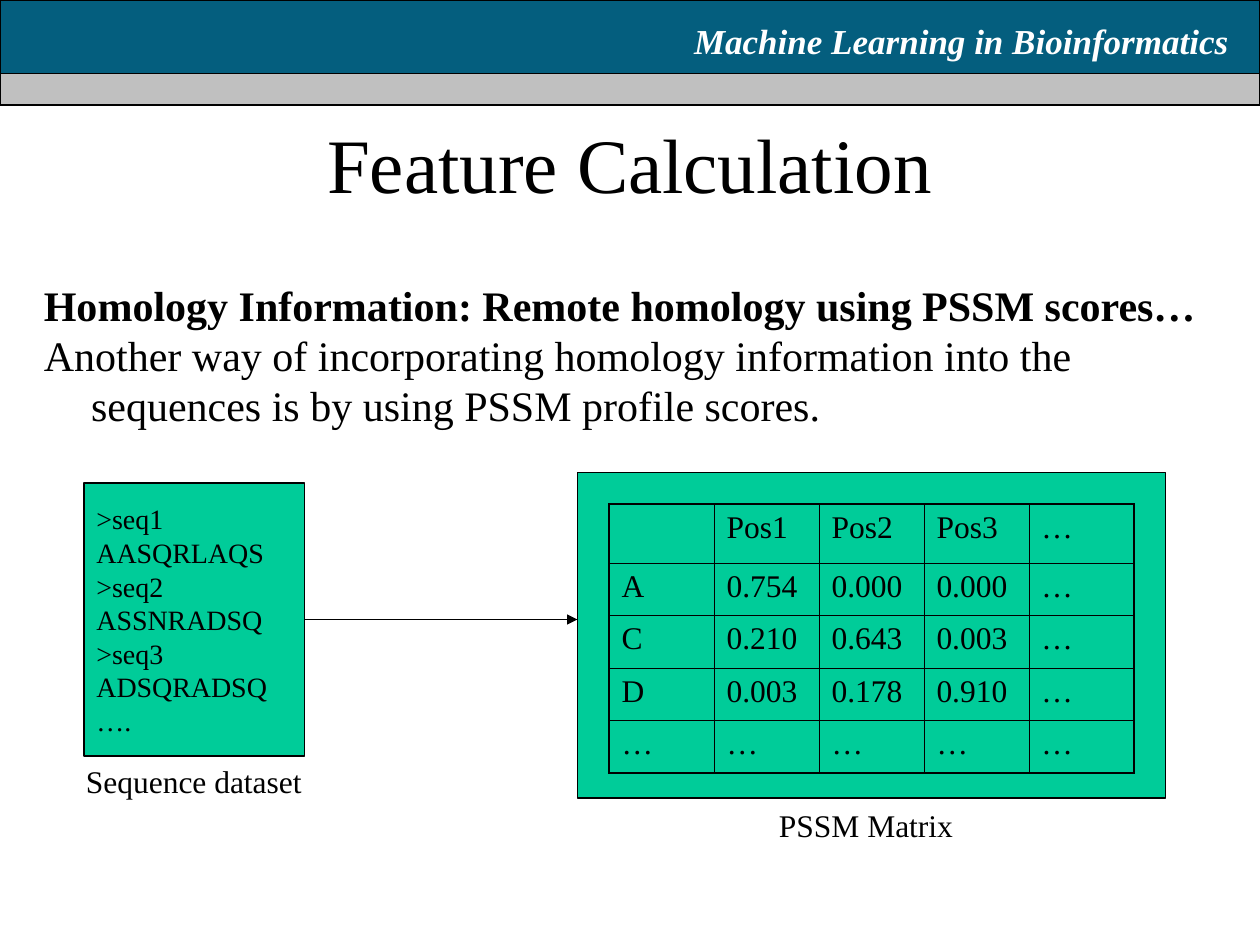
from lxml import etree
from pptx import Presentation
from pptx import util as u
from pptx.dml import color
from pptx.enum import shapes, text
from pptx.oxml import ns

FONT = "Times New Roman"
COLORS = {
    "teal": "045E7E",
    "gray": "C0C0C0",
    "green": "00CC99",
    "ink": "000000",
    "white": "FFFFFF",
}
SEQUENCES = [">seq1", "AASQRLAQS", ">seq2", "ASSNRADSQ", ">seq3", "ADSQRADSQ", "…."]
PSSM_ROWS = [
    ["", "Pos1", "Pos2", "Pos3", "…"],
    ["A", "0.754", "0.000", "0.000", "…"],
    ["C", "0.210", "0.643", "0.003", "…"],
    ["D", "0.003", "0.178", "0.910", "…"],
    ["…", "…", "…", "…", "…"],
]


def rgb(name):
    return color.RGBColor.from_string(COLORS[name])


def points(*lengths):
    return [u.Pt(length) for length in lengths]


def write(frame, lines, size, ink="ink", bold=False, italic=False, align=None,
          before=None, spacing=None, hanging=0, wrap=True, anchor=None):
    """Fill a text frame, one paragraph per line."""
    frame.word_wrap = wrap
    frame.vertical_anchor = anchor
    for index, line in enumerate(lines):
        para = frame.add_paragraph() if index else frame.paragraphs[0]
        para.alignment = align or text.PP_ALIGN.LEFT
        para.line_spacing = spacing
        if before is not None:
            para.space_before = u.Pt(before)
        if hanging:
            properties = para._p.get_or_add_pPr()
            properties.set("marL", str(u.Pt(hanging)))
            properties.set("indent", str(u.Pt(-hanging)))
        span = para.add_run()
        span.text = line
        span.font.name, span.font.size = FONT, u.Pt(size)
        span.font.bold, span.font.italic = bold, italic
        span.font.color.rgb = rgb(ink)


def add_text(slide, area, lines, size, grow=True, **style):
    box = slide.shapes.add_textbox(*points(*area))
    write(box.text_frame, lines, size, **style)
    if grow:
        box.text_frame.auto_size = text.MSO_AUTO_SIZE.SHAPE_TO_FIT_TEXT
    return box


def add_box(slide, area, fill):
    box = slide.shapes.add_shape(shapes.MSO_SHAPE.RECTANGLE, *points(*area))
    box.shadow.inherit = False
    box.fill.solid()
    box.fill.fore_color.rgb = rgb(fill)
    box.line.color.rgb = rgb("ink")
    box.line.width = u.Pt(0.75)
    return box


def add_arrow(slide, start, end):
    arrow = slide.shapes.add_connector(
        shapes.MSO_CONNECTOR.STRAIGHT, *points(*start, *end))
    arrow.line.color.rgb = rgb("ink")
    arrow.line.width = u.Pt(0.75)
    etree.SubElement(arrow.line._get_or_add_ln(), ns.qn("a:tailEnd"), type="triangle")
    etree.SubElement(arrow._element.spPr, ns.qn("a:effectLst"))


def set_border(cell, side, width):
    border = etree.SubElement(
        cell._tc.get_or_add_tcPr(), ns.qn("a:ln" + side), w=str(u.Pt(width)))
    fill = etree.SubElement(border, ns.qn("a:solidFill"))
    etree.SubElement(fill, ns.qn("a:srgbClr"), val=COLORS["ink"])


def add_matrix(slide, area, rows):
    """Add an unfilled table with a heavier outer frame."""
    row_count, column_count = len(rows), len(rows[0])
    table = slide.shapes.add_table(row_count, column_count, *points(*area)).table
    table.first_row = table.horz_banding = False
    for column in table.columns:
        column.width = u.Pt(area[2] / column_count)
    for index, row in enumerate(table.rows):
        row.height = u.Pt(30 if index else 33.75)
    for r, values in enumerate(rows):
        for c, value in enumerate(values):
            cell = table.cell(r, c)
            write(cell.text_frame, [value], 18, before=4.5)
            outer = {"L": c == 0, "R": c == column_count - 1,
                     "T": r == 0, "B": r == row_count - 1}
            for side, is_outer in outer.items():
                set_border(cell, side, 1.08 if is_outer else 0.45)
            cell.fill.background()


def add_header(slide):
    add_box(slide, (0, 0, 720, 60), "teal")
    add_box(slide, (0, 42, 720, 18), "gray")
    add_text(slide, (389.5, 6, 320, 33), ["Machine Learning in Bioinformatics"], 20,
             ink="white", bold=True, italic=True, spacing=1.06, wrap=False)


def add_title(slide, title):
    box = slide.shapes.title
    box.left, box.top, box.width, box.height = points(54, 48, 612, 90)
    write(box.text_frame, [title], 44, align=text.PP_ALIGN.CENTER,
          anchor=text.MSO_ANCHOR.MIDDLE)


def add_body(slide):
    body = add_text(slide, (18, 156, 684, 324), [
        "Homology Information: Remote homology using PSSM scores…",
        "Another way of incorporating homology information into the "
        "sequences is by using PSSM profile scores.",
    ], 24, grow=False, hanging=27)
    body.text_frame.paragraphs[0].runs[0].font.bold = True


def main():
    deck = Presentation()
    deck.slide_width, deck.slide_height = points(720, 540)
    slide = deck.slides.add_slide(deck.slide_layouts.get_by_name("Title Only"))
    add_header(slide)
    add_title(slide, "Feature Calculation")
    add_body(slide)
    dataset = add_box(slide, (48, 276, 126, 156), "green")
    write(dataset.text_frame, SEQUENCES, 16, wrap=False, anchor=text.MSO_ANCHOR.MIDDLE)
    add_box(slide, (330, 270, 336, 186), "green")
    add_matrix(slide, (348, 288, 300, 150), PSSM_ROWS)
    add_arrow(slide, (174, 354), (330, 354))
    add_text(slide, (42, 432, 150, 29), ["Sequence dataset"], 18, before=11.2)
    add_text(slide, (438, 457, 150, 29), ["PSSM Matrix"], 18, before=11.2)
    deck.save("out.pptx")


if __name__ == "__main__":
    main()
